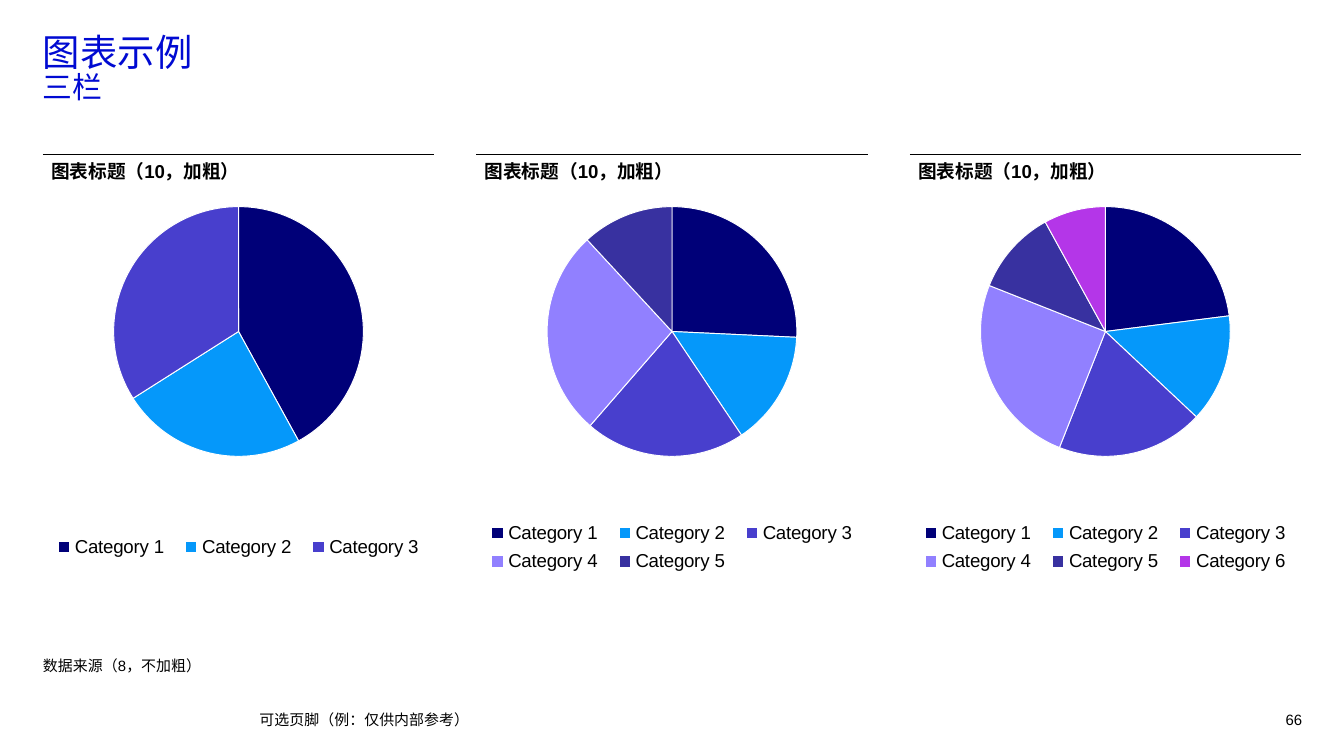
from dataclasses import dataclass

import pptx
import pptx.chart.data
import pptx.dml.color
import pptx.enum.chart
import pptx.enum.shapes
import pptx.enum.text
import pptx.oxml
import pptx.oxml.ns
import pptx.util

Pt = pptx.util.Pt
Color = pptx.dml.color.RGBColor.from_string
Align = pptx.enum.text.PP_ALIGN
Anchor = pptx.enum.text.MSO_ANCHOR
qn = pptx.oxml.ns.qn


@dataclass(frozen=True)
class Theme:
    latin: str = "Arial"
    chinese: str = "Noto Sans CJK SC"
    ink: str = "000000"
    title: str = "000AD2"
    divider: str = "FFFFFF"
    slices: tuple = ("000078", "0598FA", "483FCD", "9180FF", "3831A0", "B436E8")
    title_size: int = 20
    subtitle_size: int = 16
    chart_size: int = 10
    small_size: int = 8


THEME = Theme()
MARGIN = 23
COLUMN_WIDTH = 209.6
COLUMN_STEP = 232.2
RULE_TOP = 82.8
CHART_HEIGHT = 226.8
PLOT_AREA = (0.18, 0.12, 0.64, 0.59)
LEGEND_AREA = (0, 0.85, 1, 0.15)
PIES = ((42, 24, 34), (26, 15, 21, 27, 12), (23, 14, 19, 25, 11, 8))


def add_box(page, left, top, width, height, anchor=Anchor.TOP, inset=0):
    """Add an empty wrapped text box and return its first paragraph."""
    box = page.shapes.add_textbox(Pt(left), Pt(top), Pt(width), Pt(height))
    frame = box.text_frame
    frame.word_wrap = True
    frame.vertical_anchor = anchor
    frame.margin_left = Pt(inset)
    frame.margin_top = frame.margin_right = frame.margin_bottom = 0
    return frame.paragraphs[0]


def add_span(para, text, size, color=THEME.ink, latin=THEME.latin, bold=False):
    span = para.add_run()
    span.text = text
    span.font.size = Pt(size)
    span.font.bold = bold
    span.font.color.rgb = Color(color)
    span.font.name = latin
    east_asian = pptx.oxml.parse_xml(
        f'<a:ea {pptx.oxml.ns.nsdecls("a")} typeface="{THEME.chinese}"/>')
    span.font._element.find(qn("a:latin")).addnext(east_asian)


def add_title(page, title, subtitle):
    para = add_box(page, MARGIN, 19.4, 674.6, 51.8)
    para.line_spacing = 0.85
    add_span(para, title, THEME.title_size, THEME.title, THEME.chinese)
    para.add_line_break()
    add_span(para, subtitle, THEME.subtitle_size, THEME.title, THEME.chinese)


def add_rule(page, left):
    rule = page.shapes.add_connector(
        pptx.enum.shapes.MSO_CONNECTOR.STRAIGHT,
        Pt(left), Pt(RULE_TOP), Pt(left + COLUMN_WIDTH), Pt(RULE_TOP))
    rule.line.color.rgb = Color(THEME.ink)
    rule.line.width = Pt(0.75)
    rule._element.spPr.append(pptx.oxml.parse_xml(
        f'<a:effectLst {pptx.oxml.ns.nsdecls("a")}/>'))


def manual_layout(area, inner=False):
    """Build a chart layout from left, top, width and height fractions."""
    target = '<c:layoutTarget val="inner"/>' if inner else ""
    modes = '<c:xMode val="edge"/><c:yMode val="edge"/>'
    sizes = "".join(f'<c:{name} val="{value}"/>' for name, value in zip("xywh", area))
    return pptx.oxml.parse_xml(
        f'<c:layout {pptx.oxml.ns.nsdecls("c")}><c:manualLayout>'
        f"{target}{modes}{sizes}</c:manualLayout></c:layout>")


def add_pie(page, left, values):
    data = pptx.chart.data.CategoryChartData()
    data.categories = [f"Category {number}" for number in range(1, len(values) + 1)]
    data.add_series("Series 1", values)
    chart = page.shapes.add_chart(
        pptx.enum.chart.XL_CHART_TYPE.PIE,
        Pt(left), Pt(RULE_TOP + 0.7), Pt(COLUMN_WIDTH), Pt(CHART_HEIGHT), data).chart
    chart.has_title = False
    chart.font.name = THEME.latin
    chart.font.size = Pt(THEME.chart_size)
    chart.font.color.rgb = Color(THEME.ink)

    for point_index, color in enumerate(THEME.slices[:len(values)]):
        style = chart.plots[0].series[0].points[point_index].format
        style.fill.solid()
        style.fill.fore_color.rgb = Color(color)
        style.line.color.rgb = Color(THEME.divider)
        style.line.width = Pt(0.5)

    chart.has_legend = True
    legend = chart.legend
    legend.position = pptx.enum.chart.XL_LEGEND_POSITION.RIGHT
    legend.include_in_layout = False
    legend.font.name = THEME.latin
    legend.font.size = Pt(THEME.chart_size)
    legend.font.color.rgb = Color(THEME.ink)
    legend.horz_offset = 0
    old_layout = legend._element.find(qn("c:layout"))
    legend._element.replace(old_layout, manual_layout(LEGEND_AREA))

    plot_area = chart._chartSpace.find(".//" + qn("c:plotArea"))
    for old_layout in plot_area.findall(qn("c:layout")):
        plot_area.remove(old_layout)
    plot_area.insert(0, manual_layout(PLOT_AREA, inner=True))


def add_column(page, left, values):
    add_rule(page, left)
    add_pie(page, left, values)
    heading = add_box(page, left + 3.8, 85.7, 205.2, 12.2, inset=0.7)
    add_span(heading, "图表标题（10，加粗）", THEME.chart_size, bold=True)


def add_footer(page):
    source = add_box(page, MARGIN, 323.3, 674.6, 38.2, Anchor.BOTTOM)
    source.line_spacing = 1.1
    add_span(source, "数据来源（8，不加粗）", THEME.small_size)
    note = add_box(page, 139, 380.2, 465, 10.8, Anchor.MIDDLE)
    add_span(note, "可选页脚（例：仅供内部参考）", THEME.small_size)
    number = add_box(page, 669.6, 380.2, 28, 10.8, Anchor.MIDDLE)
    number.alignment = Align.RIGHT
    add_span(number, "66", THEME.small_size)


def main():
    deck = pptx.Presentation()
    deck.slide_width, deck.slide_height = Pt(720), Pt(405)
    page = deck.slides.add_slide(deck.slide_layouts[6])
    add_title(page, "图表示例", "三栏")
    for column, values in enumerate(PIES):
        add_column(page, MARGIN + column * COLUMN_STEP, values)
    add_footer(page)
    deck.save("out.pptx")


if __name__ == "__main__":
    main()
